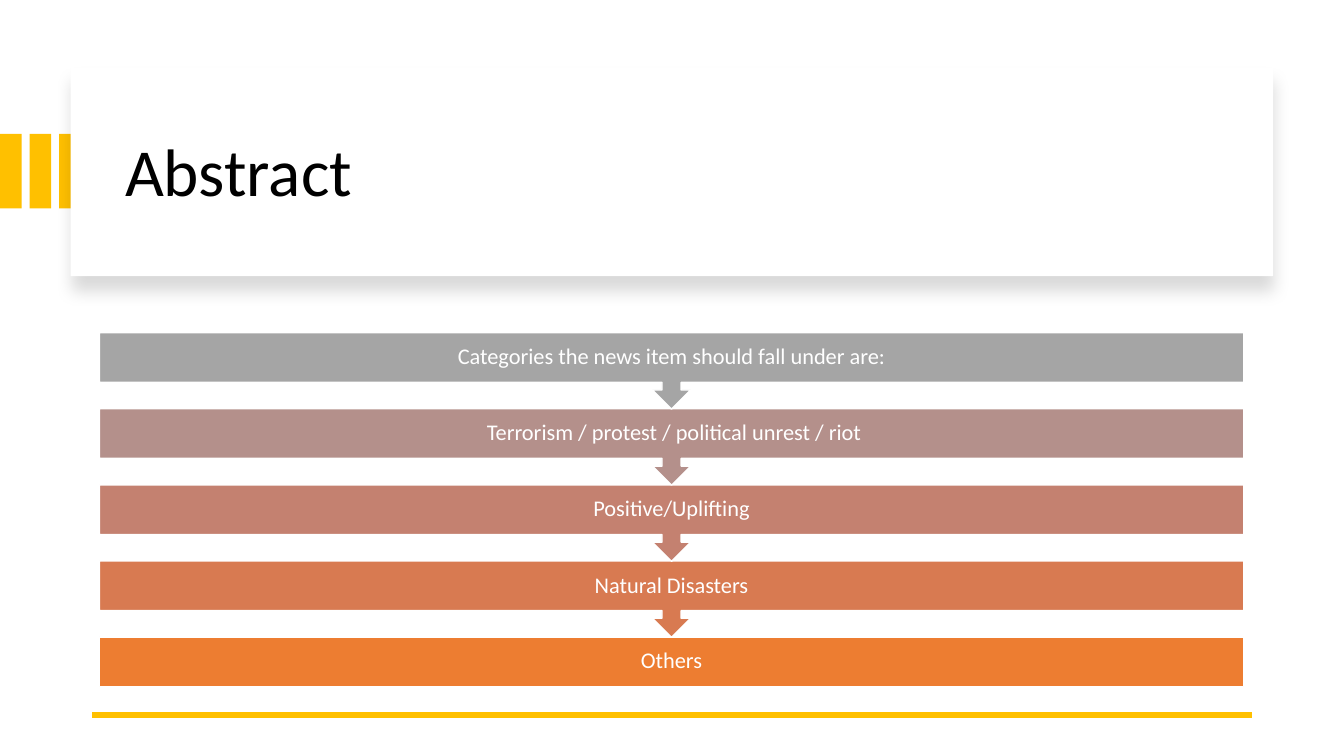
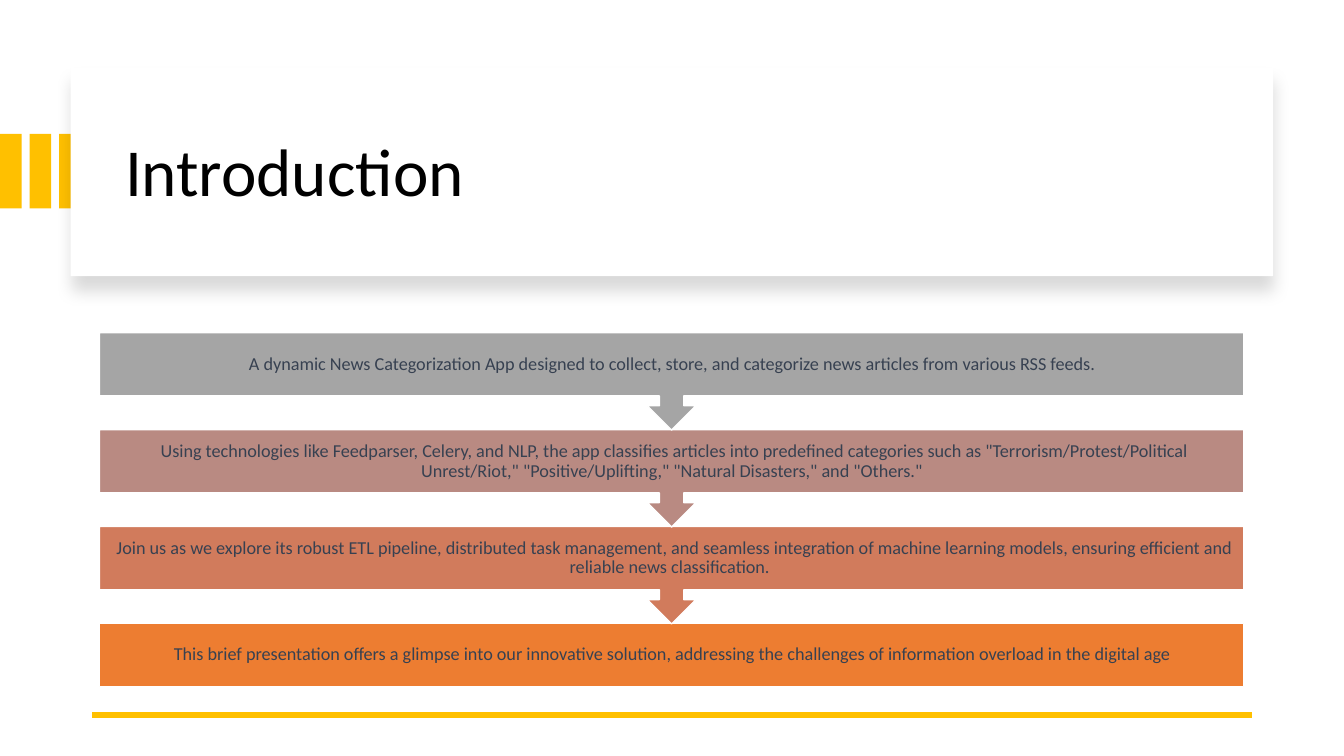
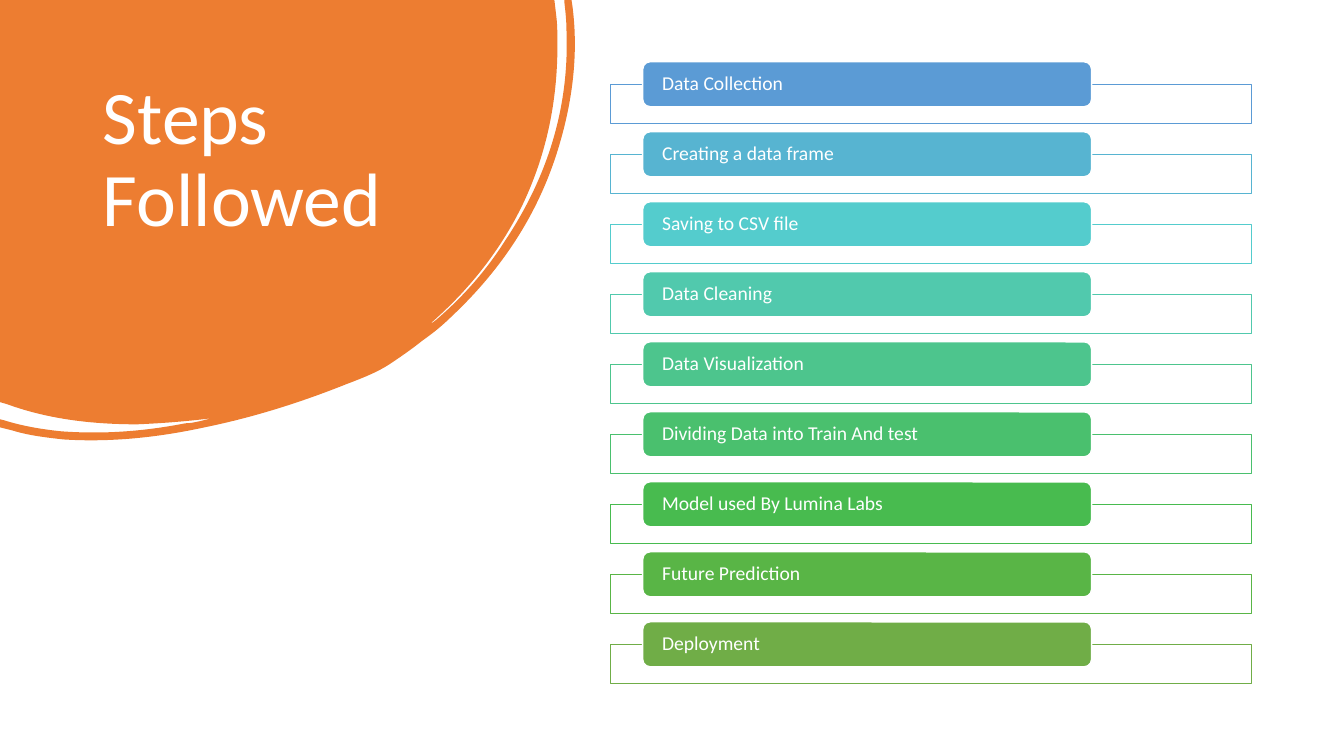
from lxml.etree import SubElement
from pptx import Presentation
from pptx.dml.color import RGBColor
from pptx.enum.shapes import MSO_CONNECTOR, MSO_SHAPE
from pptx.enum.text import MSO_ANCHOR, MSO_AUTO_SIZE, PP_ALIGN
from pptx.oxml.ns import qn
from pptx.util import Inches, Pt

SLIDE_W, SLIDE_H = Inches(13.333), Inches(7.5)
FONT = "Calibri"
COLORS = {
    "white": "FFFFFF", "black": "000000", "slate": "374151",
    "gold": "FFC000", "orange": "ED7D31", "grey": "A5A5A5",
    "dusty rose": "B4908B", "rose": "C48170", "copper": "D87A51",
    "mauve": "B98A82", "terracotta": "D17B5C",
    "blue": "5B9BD5", "sky": "57B4D1", "turquoise": "54CCCD",
    "aqua": "51C9AD", "mint": "4DC58D", "emerald": "4AC06E",
    "green": "48BB4F", "leaf": "59B546", "olive": "70AD47",
}

# Flow boxes, top to bottom: text and fill
CATEGORIES = [
    ("Categories the news item should fall under are:", "grey"),
    ("  Terrorism / protest / political unrest / riot ", "dusty rose"),
    (" Positive/Uplifting ", "rose"),
    (" Natural Disasters ", "copper"),
    (" Others ", "orange"),
]
INTRODUCTION = [
    ("A dynamic News Categorization App designed to collect, store, and "
     "categorize news articles from various RSS feeds.", "grey"),
    (" Using technologies like Feedparser, Celery, and NLP, the app classifies "
     "articles into predefined categories such as \"Terrorism/Protest/Political "
     "Unrest/Riot,\" \"Positive/Uplifting,\" \"Natural Disasters,\" and "
     "\"Others.\"", "mauve"),
    (" Join us as we explore its robust ETL pipeline, distributed task "
     "management, and seamless integration of machine learning models, ensuring "
     "efficient and reliable news classification. ", "terracotta"),
    ("This brief presentation offers a glimpse into our innovative solution, "
     "addressing the challenges of information overload in the digital age",
     "orange"),
]
STEPS = [
    ("Data Collection", "blue"),
    ("Creating a data frame", "sky"),
    ("Saving to CSV file", "turquoise"),
    ("Data Cleaning", "aqua"),
    ("Data Visualization", "mint"),
    ("Dividing Data into Train And test", "emerald"),
    ("Model used By Lumina Labs", "green"),
    ("Future Prediction", "leaf"),
    ("Deployment", "olive"),
]

# Outline of the corner blob in inches: pairs are lines, sixes are Bezier curves
BLOB = [
    (0, 0), (5.5, 0), (5.52, 0.17),
    (5.53, 0.26, 5.53, 0.36, 5.53, 0.45), (5.53, 1.01, 5.42, 1.54, 5.18, 2.04),
    (4.96, 2.49, 4.65, 2.88, 4.27, 3.21), (4.29, 3.21, 4.3, 3.19, 4.32, 3.18),
    (4.59, 2.95, 4.82, 2.69, 5.01, 2.39), (5.43, 1.76, 5.65, 1.07, 5.62, 0.3),
    (5.62, 0.21, 5.61, 0.12, 5.6, 0.03), (5.6, 0), (5.67, 0), (5.68, 0.07),
    (5.74, 0.54, 5.68, 1.02, 5.53, 1.5), (5.33, 2.14, 4.97, 2.68, 4.48, 3.14),
    (4.39, 3.23, 4.29, 3.31, 4.19, 3.38), (4.09, 3.46, 3.99, 3.53, 3.87, 3.61),
    (3.75, 3.69, 3.6, 3.75, 3.44, 3.81), (2.99, 3.99, 2.52, 4.14, 2.03, 4.24),
    (1.57, 4.34, 1.1, 4.39, 0.63, 4.36), (0.45, 4.34, 0.28, 4.32, 0.12, 4.27),
    (0, 4.24), (0, 4.16), (0.04, 4.17),
    (0.23, 4.23, 0.42, 4.26, 0.61, 4.28), (1.03, 4.31, 1.43, 4.28, 1.84, 4.2),
    (1.89, 4.2, 1.93, 4.19, 1.98, 4.18), (2.02, 4.17, 2.06, 4.16, 2.1, 4.15),
    (1.86, 4.18, 1.61, 4.2, 1.36, 4.21), (0.92, 4.21, 0.48, 4.16, 0.07, 4.01),
    (0, 3.99),
]


def rgb(name):
    return RGBColor.from_string(COLORS[name])


def across(percent):
    return round(SLIDE_W * percent / 100)


def down(percent):
    return round(SLIDE_H * percent / 100)


def place(left, top, width, height):
    """Turn percentages of the slide into a position and size."""
    return across(left), down(top), across(width), down(height)


def paint(shape, fill, line=None):
    shape.shadow.inherit = False
    shape.fill.solid()
    shape.fill.fore_color.rgb = rgb(fill)
    if line:
        shape.line.color.rgb = rgb(line)
        shape.line.width = Pt(1)
    else:
        shape.line.fill.background()


def add_block(slide, kind, area, fill, line=None):
    block = slide.shapes.add_shape(kind, *place(*area))
    paint(block, fill, line)
    return block


def write(shape, text, size, color, align=PP_ALIGN.LEFT,
          anchor=MSO_ANCHOR.MIDDLE, inset=(0.1, 0.05)):
    frame = shape.text_frame
    frame.word_wrap = True
    frame.auto_size = MSO_AUTO_SIZE.NONE
    frame.vertical_anchor = anchor
    frame.margin_left = frame.margin_right = Inches(inset[0])
    frame.margin_top = frame.margin_bottom = Inches(inset[1])
    paragraph = frame.paragraphs[0]
    paragraph.alignment = align
    paragraph.line_spacing = 0.9
    run = paragraph.add_run()
    run.text = text
    run.font.name = FONT
    run.font.size = Pt(size)
    run.font.color.rgb = rgb(color)


def add_title(slide, text, area, size, color, anchor):
    title = slide.shapes.title
    title.left, title.top, title.width, title.height = place(*area)
    write(title, text, size, color, anchor=anchor)
    # Bring the title in front of the artwork already drawn
    slide.shapes._spTree.append(title._element)


def add_soft_shadow(shape):
    effects = shape._element.spPr.find(qn("a:effectLst"))
    shadow = SubElement(effects, qn("a:outerShdw"), blurRad=str(Pt(11)),
                        dist=str(Pt(10)), dir="5400000", algn="t",
                        rotWithShape="0")
    color = SubElement(shadow, qn("a:srgbClr"), val=COLORS["black"])
    SubElement(color, qn("a:alpha"), val="15000")


def add_title_card(slide, text):
    # Gold bars at the left edge, partly under the card
    for column in range(3):
        add_block(slide, MSO_SHAPE.RECTANGLE,
                  (column * 2.2, 17.72, 1.61, 9.85), "gold")
    card = add_block(slide, MSO_SHAPE.RECTANGLE, (5.25, 8.95, 89.48, 27.6), "white")
    add_soft_shadow(card)
    add_title(slide, text, (8.55, 11.85, 83.5, 22.65), 48, "black",
              MSO_ANCHOR.MIDDLE)
    # Gold rule at the foot
    rule = slide.shapes.add_connector(MSO_CONNECTOR.STRAIGHT, across(93.13),
                                      down(94.57), across(6.87), down(94.57))
    rule.line.color.rgb = rgb("gold")
    rule.line.width = Pt(4.5)
    SubElement(rule._element.spPr, qn("a:effectLst"))


def add_flow(slide, boxes, size, color, inset):
    """Stack arrow callouts; the box part is 65% of each row."""
    top, total, box_share = 44, 46.8, 0.65
    last = len(boxes) - 1
    pitch = total / (last + box_share)
    # Lower boxes first, so that each arrow tip lies on the next box
    for row, (text, fill) in reversed(list(enumerate(boxes))):
        kind, height = MSO_SHAPE.DOWN_ARROW_CALLOUT, pitch * 1.005
        if row == last:
            kind, height = MSO_SHAPE.RECTANGLE, pitch * box_share
        box = add_block(slide, kind, (7.4, top + row * pitch, 85.14, height),
                        fill, "white")
        write(box, text, size, color, PP_ALIGN.CENTER, inset=(inset, inset))


def add_blob(slide, outline):
    builder = slide.shapes.build_freeform(*map(Inches, outline[0]))
    builder.add_line_segments(
        [tuple(map(Inches, piece[-2:])) for piece in outline[1:]])
    blob = builder.convert_to_shape()
    paint(blob, "orange")
    # Bend the straight segments that have control points
    segments = list(blob._element.iter(qn("a:lnTo")))
    for segment, piece in zip(segments, outline[1:]):
        if len(piece) == 6:
            segment.tag = qn("a:cubicBezTo")
            controls = zip(piece[0:4:2], piece[1:4:2])
            for index, (x, y) in enumerate(controls):
                control = SubElement(segment, qn("a:pt"),
                                     x=str(Inches(x)), y=str(Inches(y)))
                segment.insert(index, control)


def add_steps(slide, steps):
    pitch = 9.26
    for row, (text, color) in enumerate(steps):
        offset = row * pitch
        detail = add_block(slide, MSO_SHAPE.RECTANGLE,
                           (45.43, 11.14, 47.7, 5.2), "white", color)
        detail.top += down(offset)
        # Slightly transparent detail frame
        tint = detail._element.spPr.find(qn("a:solidFill"))[0]
        SubElement(tint, qn("a:alpha"), val="90000")
        label = add_block(slide, MSO_SHAPE.ROUNDED_RECTANGLE,
                          (47.82, 8.17 + offset, 33.4, 5.95), color, "white")
        write(label, text, 14, "white", inset=(0.17, 0))


def main():
    deck = Presentation()
    deck.slide_width, deck.slide_height = SLIDE_W, SLIDE_H
    title_only = deck.slide_layouts[5]

    abstract = deck.slides.add_slide(title_only)
    add_title_card(abstract, "Abstract")
    add_flow(abstract, CATEGORIES, 16, "white", 0.12)

    introduction = deck.slides.add_slide(title_only)
    add_title_card(introduction, "Introduction")
    add_flow(introduction, INTRODUCTION, 13, "slate", 0.1)

    steps = deck.slides.add_slide(title_only)
    add_blob(steps, BLOB)
    add_title(steps, "Steps Followed", (6.9, 9.85, 26.4, 29.6), 54, "white",
              MSO_ANCHOR.TOP)
    add_steps(steps, STEPS)

    deck.save("out.pptx")


if __name__ == "__main__":
    main()
